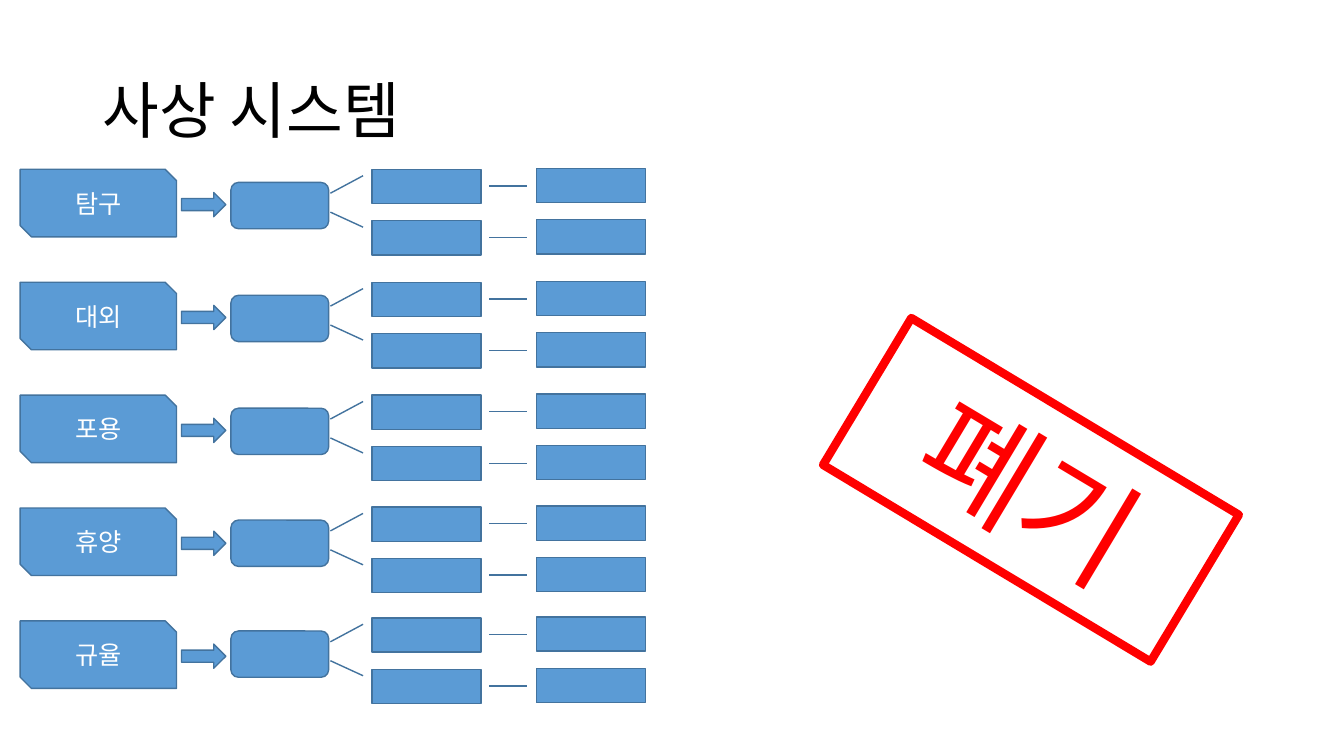
from dataclasses import dataclass

from pptx import Presentation
from pptx.dml.color import RGBColor
from pptx.enum.shapes import MSO_SHAPE
from pptx.enum.text import MSO_ANCHOR, PP_ALIGN
from pptx.util import Inches, Pt


@dataclass(frozen=True)
class Theme:
    font: str = "Noto Sans CJK KR"
    black: RGBColor = RGBColor(0x00, 0x00, 0x00)
    white: RGBColor = RGBColor(0xFF, 0xFF, 0xFF)
    blue: RGBColor = RGBColor(0x5B, 0x9B, 0xD5)
    outline: RGBColor = RGBColor(0x43, 0x73, 0x9E)
    red: RGBColor = RGBColor(0xFF, 0x00, 0x00)
    title_size: int = 44
    label_size: int = 18
    stamp_size: int = 88
    thin: int = 1
    thick: int = 6


THEME = Theme()
ROW_PITCH = 1.12
BRANCH_PITCH = 0.51
SYSTEMS = [("탐구", 0), ("대외", 0), ("포용", 0), ("휴양", 0.01), ("규율", 0.03)]
BRANCH_LEADERS = [(0.188, -0.083, 0.699, -0.383), (0.188, -0.083, -0.25, -0.383)]
DETAIL_LEADER = (0.517, -0.089, 0.517, -0.433)


def write_text(shape, text, size, color, alignment):
    frame = shape.text_frame
    frame.word_wrap = True
    frame.vertical_anchor = MSO_ANCHOR.MIDDLE
    paragraph = frame.paragraphs[0]
    paragraph.text = text
    paragraph.alignment = alignment
    paragraph.font.name = THEME.font
    paragraph.font.size = Pt(size)
    paragraph.font.color.rgb = color
    return paragraph


def add_box(slide, kind, box, fill=THEME.blue, line=THEME.outline,
            weight=THEME.thin, adjustments=()):
    shape = slide.shapes.add_shape(kind, *map(Inches, box))
    shape.shadow.inherit = False
    shape.fill.solid()
    shape.fill.fore_color.rgb = fill
    shape.line.color.rgb = line
    shape.line.width = Pt(weight)
    for index, value in enumerate(adjustments):
        shape.adjustments[index] = value
    return shape


def add_title(slide, box, text):
    title = slide.shapes.add_textbox(*map(Inches, box))
    paragraph = write_text(title, text, THEME.title_size, THEME.black, PP_ALIGN.LEFT)
    paragraph.line_spacing = 0.9


def add_system_row(slide, left, top, name, lift):
    label = add_box(slide, MSO_SHAPE.SNIP_2_DIAG_RECTANGLE, (left, top, 1.55, 0.67))
    write_text(label, name, THEME.label_size, THEME.white, PP_ALIGN.CENTER)
    add_box(slide, MSO_SHAPE.RIGHT_ARROW, (left + 1.6, top + 0.23, 0.44, 0.24))

    branch_top = top - lift
    add_box(slide, MSO_SHAPE.ROUNDED_RECTANGLE, (left + 2.09, branch_top + 0.13, 0.97, 0.46))
    for index, leader in enumerate(BRANCH_LEADERS):
        y = branch_top + index * BRANCH_PITCH
        add_box(slide, MSO_SHAPE.LINE_CALLOUT_1, (left + 3.49, y, 1.08, 0.34),
                adjustments=leader)
        add_box(slide, MSO_SHAPE.LINE_CALLOUT_1, (left + 5.12, y - 0.01, 1.08, 0.34),
                adjustments=DETAIL_LEADER)


def add_systems(slide, left, top):
    for index, (name, lift) in enumerate(SYSTEMS):
        add_system_row(slide, left, top + index * ROW_PITCH, name, lift)


def add_stamp(slide, box, text):
    stamp = add_box(slide, MSO_SHAPE.RECTANGLE, box, THEME.white, THEME.red, THEME.thick)
    stamp.rotation = 31
    write_text(stamp, text, THEME.stamp_size, THEME.red, PP_ALIGN.CENTER)


def main():
    presentation = Presentation()
    presentation.slide_width = Inches(13.33)
    presentation.slide_height = Inches(7.5)
    slide = presentation.slides.add_slide(presentation.slide_layouts[6])
    add_title(slide, (0.92, 0.4, 11.5, 1.45), "사상 시스템")
    add_systems(slide, 0.2, 1.68)
    add_stamp(slide, (8.33, 4.01, 3.79, 1.7), "폐기")
    presentation.save("out.pptx")


if __name__ == "__main__":
    main()
